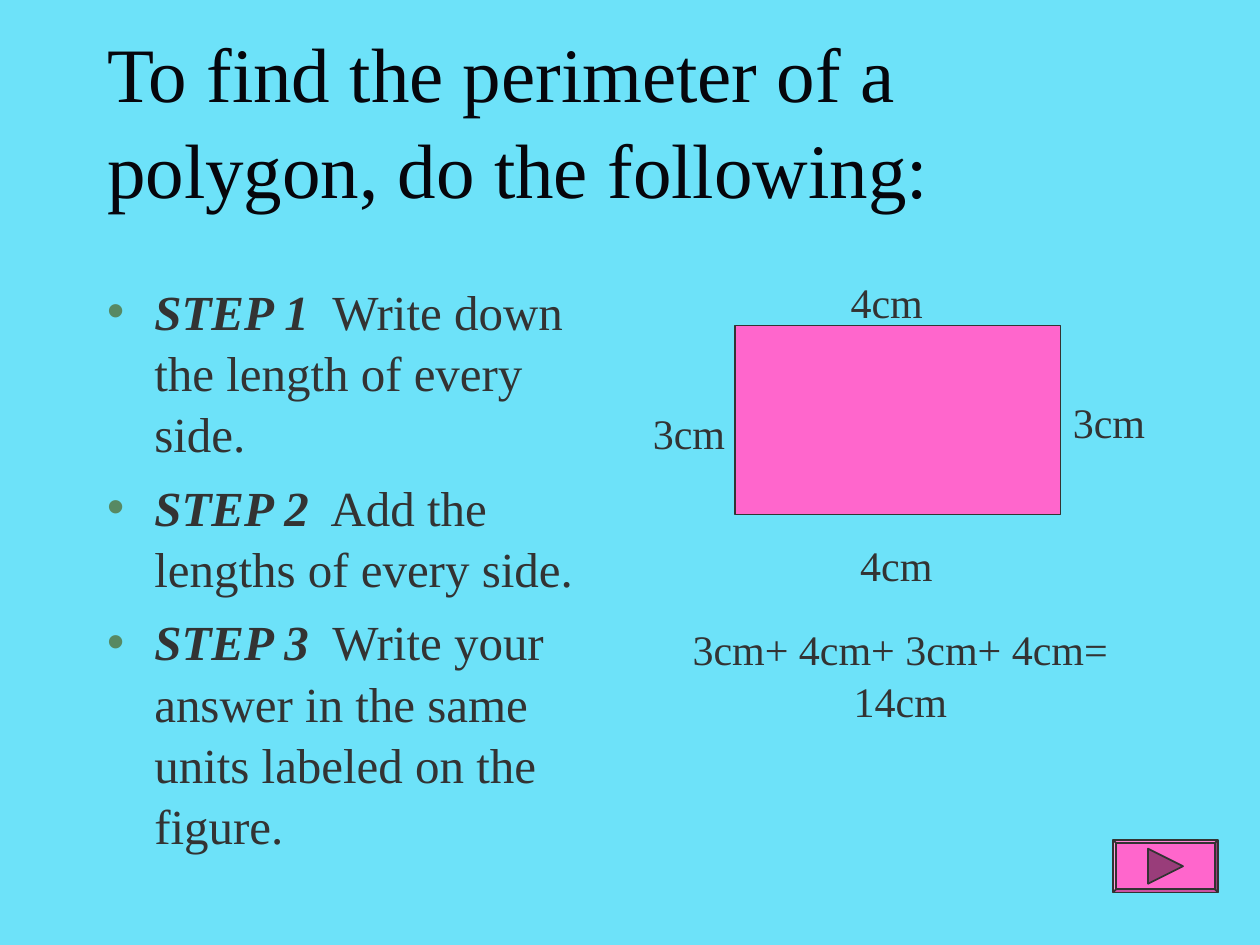
from lxml import etree
from pptx import Presentation
from pptx import util as u
from pptx.dml.color import RGBColor
from pptx.enum import shapes, text
from pptx.oxml.ns import qn

COLORS = {
    "background": "6DE2F9",
    "title": "06060C",
    "text": "333333",
    "bullet": "578963",
    "pink": "FF66CC",
    "arrow": "993D7A",
}
STEPS = [
    ("STEP 1", "  Write down the length of every side."),
    ("STEP 2", "  Add the lengths of every side."),
    ("STEP 3", "  Write your answer in the same units labeled on the figure."),
]
SIDE_LABELS = [
    ("4cm", 479, 153.5),
    ("3cm", 606, 222),
    ("4cm", 484.5, 303.5),
    ("3cm", 366, 228),
]


class SlideBuilder:
    font_name = "Times New Roman"
    line_spacing = 1.04

    def __init__(self, slide):
        self.slide = slide
        fill = slide.background.fill
        fill.solid()
        fill.fore_color.rgb = self.color("background")

    def color(self, name):
        return RGBColor.from_string(COLORS[name])

    def place(self, shape, left, top, width, height):
        shape.left, shape.top = u.Pt(left), u.Pt(top)
        shape.width, shape.height = u.Pt(width), u.Pt(height)

    def format_paragraph(self, paragraph, size, color, align):
        paragraph.alignment = align
        paragraph.line_spacing = self.line_spacing
        for run in paragraph.runs:
            run.font.name = self.font_name
            run.font.size = u.Pt(size)
            run.font.color.rgb = self.color(color)

    def title(self, words, *box):
        shape = self.slide.shapes.title
        self.place(shape, *box)
        frame = shape.text_frame
        frame.text = words
        frame.auto_size = text.MSO_AUTO_SIZE.NONE
        frame.vertical_anchor = text.MSO_ANCHOR.BOTTOM
        self.format_paragraph(frame.paragraphs[0], 44, "title", text.PP_ALIGN.LEFT)

    def add_bullet(self, paragraph):
        properties = paragraph._p.get_or_add_pPr()
        properties.set("marL", str(u.Pt(27)))
        properties.set("indent", str(u.Pt(-27)))
        bullet_color = etree.SubElement(properties, qn("a:buClr"))
        etree.SubElement(bullet_color, qn("a:srgbClr"), val=COLORS["bullet"])
        etree.SubElement(properties, qn("a:buChar"), char="•")

    def steps(self, items, *box):
        shape = self.slide.placeholders[1]
        self.place(shape, *box)
        frame = shape.text_frame
        frame.auto_size = text.MSO_AUTO_SIZE.NONE
        for index, (name, instruction) in enumerate(items):
            paragraph = frame.add_paragraph() if index else frame.paragraphs[0]
            self.add_bullet(paragraph)
            paragraph.space_before = u.Pt(7 if index else 0)
            step = paragraph.add_run()
            step.text = name
            step.font.bold = step.font.italic = True
            paragraph.add_run().text = instruction
            self.format_paragraph(paragraph, 28, "text", text.PP_ALIGN.LEFT)

    def label(self, words, left, top, width=55.5, height=36, align=text.PP_ALIGN.LEFT):
        box = self.slide.shapes.add_textbox(*map(u.Pt, (left, top, width, height)))
        frame = box.text_frame
        frame.text = words
        frame.word_wrap = False
        frame.auto_size = text.MSO_AUTO_SIZE.SHAPE_TO_FIT_TEXT
        for paragraph in frame.paragraphs:
            self.format_paragraph(paragraph, 24, "text", align)

    def shape(self, kind, color, *box):
        shape = self.slide.shapes.add_shape(kind, *map(u.Pt, box))
        shape.shadow.inherit = False
        shape.fill.solid()
        shape.fill.fore_color.rgb = self.color(color)
        shape.line.color.rgb = self.color("text")
        shape.line.width = u.Pt(1)
        return shape

    def next_button(self, left, top, width, height):
        kinds = shapes.MSO_SHAPE
        bevel = self.shape(kinds.BEVEL, "pink", left, top, width, height)
        bevel.adjustments[0] = 0.06
        side = 20
        arrow = self.shape(kinds.ISOSCELES_TRIANGLE, "arrow",
                           left + (width - side) / 2, top + (height - side) / 2, side, side)
        arrow.rotation = 90


def main():
    presentation = Presentation()
    presentation.slide_width, presentation.slide_height = u.Pt(720), u.Pt(540)
    builder = SlideBuilder(presentation.slides.add_slide(presentation.slide_layouts[1]))
    builder.title("To find the perimeter of a polygon, do the following:", 54, 36, 612, 90)
    builder.steps(STEPS, 54, 156, 300, 324)
    builder.shape(shapes.MSO_SHAPE.RECTANGLE, "pink", 420, 186, 186, 108)
    builder.label("3cm+ 4cm+ 3cm+ 4cm=\n14cm", 388.5, 351.5, 252, 65, text.PP_ALIGN.CENTER)
    for words, left, top in SIDE_LABELS:
        builder.label(words, left, top)
    builder.next_button(636, 480, 60, 30)
    presentation.save("out.pptx")


if __name__ == "__main__":
    main()
